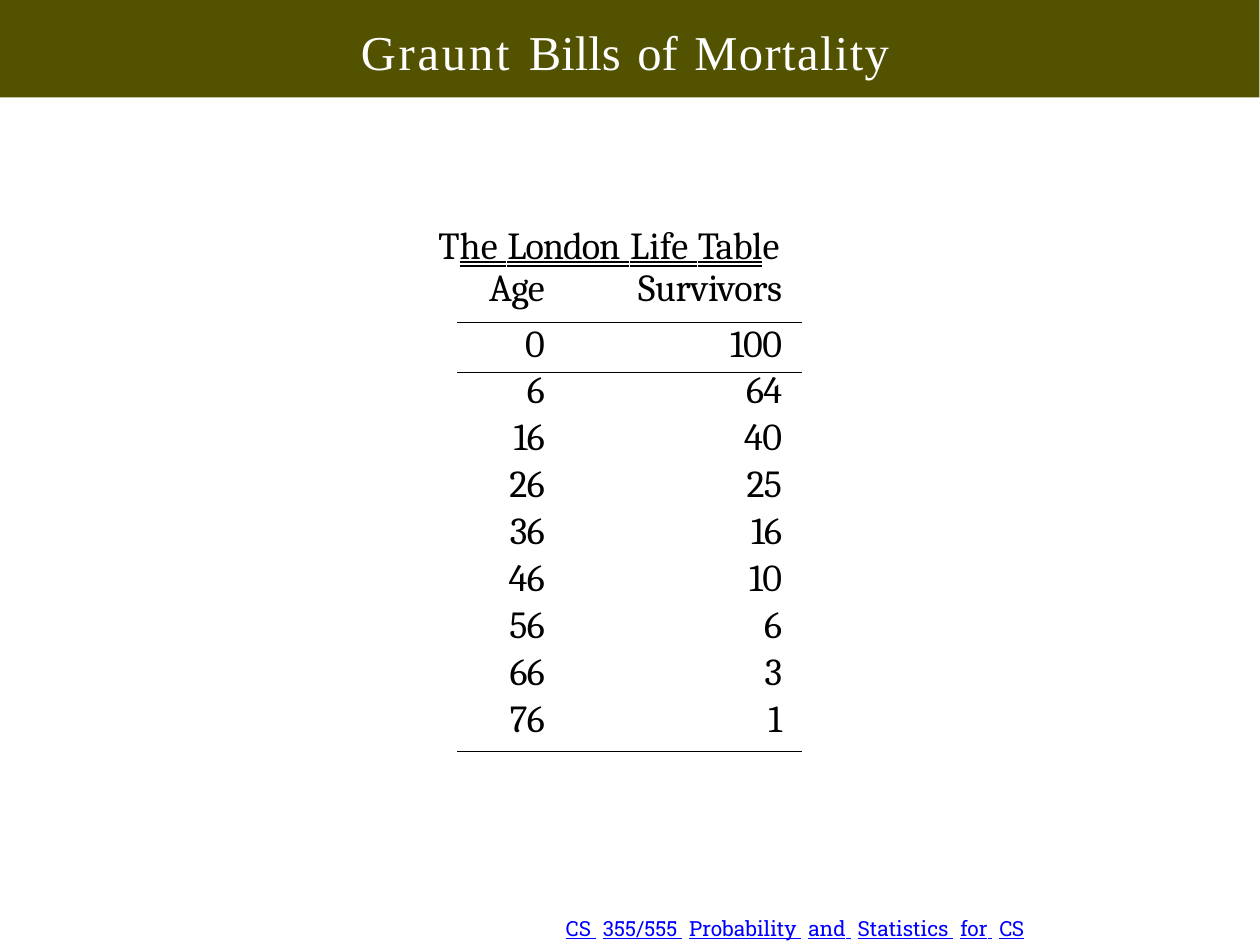
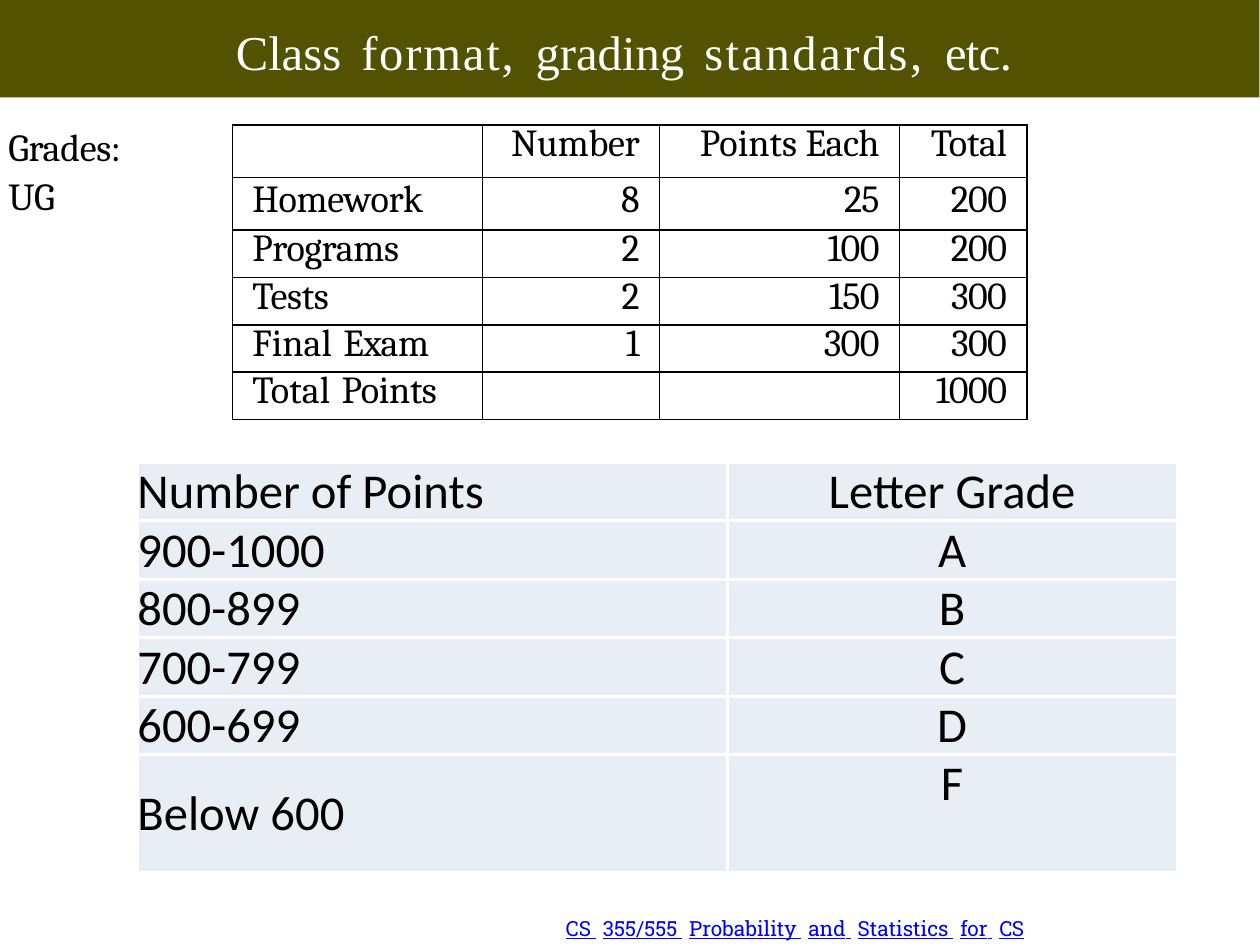
from dataclasses import dataclass

from lxml import etree
from pptx import Presentation
from pptx import util as u
from pptx.dml.color import RGBColor
from pptx.enum import shapes, text
from pptx.oxml import ns

LEFT, CENTER, RIGHT = text.PP_ALIGN.LEFT, text.PP_ALIGN.CENTER, text.PP_ALIGN.RIGHT
TOP, MIDDLE = text.MSO_ANCHOR.TOP, text.MSO_ANCHOR.MIDDLE


@dataclass(frozen=True)
class Theme:
    band: str = "525200"
    white: str = "FFFFFF"
    ink: str = "000000"
    link: str = "0000FF"
    tint: str = "E9EDF4"
    title_font: str = "Times New Roman"
    body_font: str = "Cambria"
    grade_font: str = "Calibri"
    footer_font: str = "Roboto Slab"
    title_size: int = 14
    body_size: int = 11
    grade_size: int = 14
    footer_size: int = 6


THEME = Theme()


def spaced(words, gap):
    """Put a space with its own letter spacing between (word, spacing) pairs."""
    runs = [words[0]]
    for word in words[1:]:
        runs += [(" ", gap), word]
    return runs


def write(paragraph, content, font=THEME.body_font, size=THEME.body_size, color=THEME.ink,
          align=LEFT, before=0, line=None, underline=None):
    """Fill a paragraph from a string or from (text, spacing[, underline]) runs."""
    paragraph.alignment = align
    paragraph.space_before = u.Pt(before)
    if line:
        paragraph.line_spacing = u.Pt(line)
    if not content:
        # The end mark gives an empty cell its line height
        end_mark = etree.SubElement(paragraph._p, ns.qn("a:endParaRPr"))
        end_mark.set("sz", str(size * 100))
        return
    for words, spacing, *own_line in [(content, 0)] if isinstance(content, str) else content:
        run = paragraph.add_run()
        run.text = words
        run.font.name, run.font.size = font, u.Pt(size)
        run.font.color.rgb = RGBColor.from_string(color)
        run.font.underline = own_line[0] if own_line else underline
        run.font._element.set("spc", str(round(spacing * 100)))


def set_borders(cell, sides, color, width):
    """Draw the sides named by letter; the others stay empty."""
    props = cell._tc.get_or_add_tcPr()
    for position, side in enumerate("LRTB"):
        edge = etree.Element(ns.qn(f"a:ln{side}"))
        if side in sides:
            edge.set("w", str(u.Pt(width)))
            fill = etree.SubElement(edge, ns.qn("a:solidFill"))
            etree.SubElement(fill, ns.qn("a:srgbClr")).set("val", color)
        else:
            etree.SubElement(edge, ns.qn("a:noFill"))
        props.insert(position, edge)


class Deck:
    # The page is measured in whole and half points
    WIDTH, HEIGHT = u.Pt(363), u.Pt(272.5)
    BAND_SIZE = u.Inches(5.04), u.Inches(0.39)
    FOOTER = spaced([(word, 0) for word in
                     "CS 355/555 Probability and Statistics for".split()] + [("CS", -0.2)], 1.9)

    def __init__(self, theme):
        self.theme = theme
        self.file = Presentation()
        self.file.slide_width, self.file.slide_height = self.WIDTH, self.HEIGHT
        self.slide = None

    def new_slide(self, title, left, width):
        """Start a slide with its band, title and footer."""
        theme = self.theme
        self.slide = self.file.slides.add_slide(self.file.slide_layouts[6])
        band = self.slide.shapes.add_shape(shapes.MSO_SHAPE.RECTANGLE, 0, 0, *self.BAND_SIZE)
        band.shadow.inherit = False
        band.fill.solid()
        band.fill.fore_color.rgb = RGBColor.from_string(theme.band)
        band.line.fill.background()
        self.label([title], left, 0.07, width, 0.27, inset=1.2, font=theme.title_font,
                   size=theme.title_size, color=theme.white, before=1.4)
        self.label([self.FOOTER], 2.25, 3.67, 2.04, 0.11, inset=0, font=theme.footer_font,
                   size=theme.footer_size, color=theme.link, line=6.7, underline=True)

    def label(self, paragraphs, left, top, width, height, inset=1, **style):
        """Add a text box with one paragraph for each item; inset is in points."""
        frame = self.slide.shapes.add_textbox(
            *map(u.Inches, (left, top, width, height))).text_frame
        frame.word_wrap = True
        frame.margin_left, frame.margin_top = u.Pt(1), u.Pt(inset)
        frame.margin_right = frame.margin_bottom = 0
        for index, content in enumerate(paragraphs):
            write(frame.add_paragraph() if index else frame.paragraphs[0], content, **style)

    def table(self, rows, left, top, widths, heights, aligns, pads, fill=None, lines=None,
              anchor=TOP, border=THEME.ink, weight=0.5, sides=lambda row: "LRTB", **style):
        """Add a table; pads hold each column's (left, right) cell margins."""
        grid = self.slide.shapes.add_table(
            len(rows), len(widths),
            *map(u.Inches, (left, top, sum(widths), sum(heights)))).table
        grid.first_row = grid.horz_banding = False
        for column, width in zip(grid.columns, widths):
            column.width = u.Inches(width)
        for r, (row, height) in enumerate(zip(rows, heights)):
            grid.rows[r].height = u.Inches(height)
            for c, content in enumerate(row):
                cell = grid.cell(r, c)
                cell.margin_left, cell.margin_right = map(u.Inches, pads[c])
                cell.margin_top = cell.margin_bottom = 0
                cell.vertical_anchor = anchor
                if fill:
                    cell.fill.solid()
                    cell.fill.fore_color.rgb = RGBColor.from_string(fill)
                else:
                    cell.fill.background()
                set_borders(cell, sides(r), border, weight)
                write(cell.text_frame.paragraphs[0], content, align=aligns[c],
                      line=lines[r] if lines else None, **style)
        return grid


def number(value):
    digits = str(value)
    return [(digits, -0.2 if len(digits) > 1 else 0)]


def mortality_slide(deck):
    deck.new_slide(spaced([("Graunt", 0.8), ("Bills", 0), ("of", 0), ("Mortality", 0.4)], 1.2),
                   1.43, 2.18)

    # Heading of the life table
    double = text.MSO_UNDERLINE.DOUBLE_LINE
    underlined = spaced([("he", 0), ("London", -0.3), ("Life", 0), ("Tabl", -0.2)], 0.3)
    deck.label([[("T", 0)] + [(*run, double) for run in underlined] + [("e", 0)]],
               1.74, 0.87, 1.55, 0.21, before=0.9)

    # Survivors by age, with rules below the head, the first row and the last row
    survivors = [100, 64, 40, 25, 16, 10, 6, 3, 1]
    ages = [0] + list(range(6, 77, 10))
    ruled = {0, 1, len(ages)}
    deck.table([[[("Age", -0.2)], [("Survivors", -0.1)]]]
               + [[number(age), number(count)] for age, count in zip(ages, survivors)],
               1.83, 1.1, [0.51, 0.87], [0.19, 0.2] + [1.32 / 7] * 7 + [0.2],
               aligns=[RIGHT, RIGHT], pads=[(0, 0.16), (0, 0.08)],
               lines=[10.4, 12.9] + [11.7] * 8,
               sides=lambda r: ("T" if r - 1 in ruled else "") + ("B" if r in ruled else ""))


def grading_slide(deck):
    deck.new_slide(spaced([("Class", 0), ("format,", 0.5), ("grading", 0),
                           ("standards,", 0.7), ("etc.", -0.2)], 2.2), 0.93, 3.18)
    deck.label([[("Grades:", -0.1)], [("UG", -0.1)]], 0.02, 0.48, 0.54, 0.4, before=0.9)

    # Points for each kind of work
    work = [([("Homework", -0.1)], 8, 25),
            ([("Programs", -0.1)], 2, 100),
            ([("Tests", -0.1)], 2, 150),
            (spaced([("Final", 0), ("Exam", -0.2)], 0.8), 1, 300)]
    points = [["", [("Number", -0.1)], [("Points ", 0), ("Each", -0.2)], [("Total", -0.1)]]]
    points += [[name, number(count), number(each), number(count * each)]
               for name, count, each in work]
    points.append([spaced([("Total", 0), ("Points", -0.1)], 0.8), "", "",
                   number(sum(count * each for _, count, each in work))])
    deck.table(points, 0.93, 0.5, [1, 0.71, 0.96, 0.51], [0.21] * 2 + [0.19] * 4,
               aligns=[LEFT] + [RIGHT] * 3, pads=[(0.08, 0)] + [(0, 0.08)] * 3,
               lines=[11.9, 12.9] + [11.9] * 4)

    # Letter grades
    theme = deck.theme
    grades = [("Number of Points", "Letter Grade"), ("900-1000", "A"), ("800-899", "B"),
              ("700-799", "C"), ("600-699", "D"), ("Below 600", "F")]
    scale = deck.table(grades, 0.55, 1.85, [2.36, 1.8], [0.23] * 5 + [0.47],
                       aligns=[LEFT, CENTER], pads=[(0, 0)] * 2, fill=theme.tint,
                       anchor=MIDDLE, border=theme.white, weight=1,
                       font=theme.grade_font, size=theme.grade_size)
    scale.cell(len(grades) - 1, 1).vertical_anchor = TOP


def main():
    deck = Deck(THEME)
    mortality_slide(deck)
    grading_slide(deck)
    deck.file.save("out.pptx")


if __name__ == "__main__":
    main()
